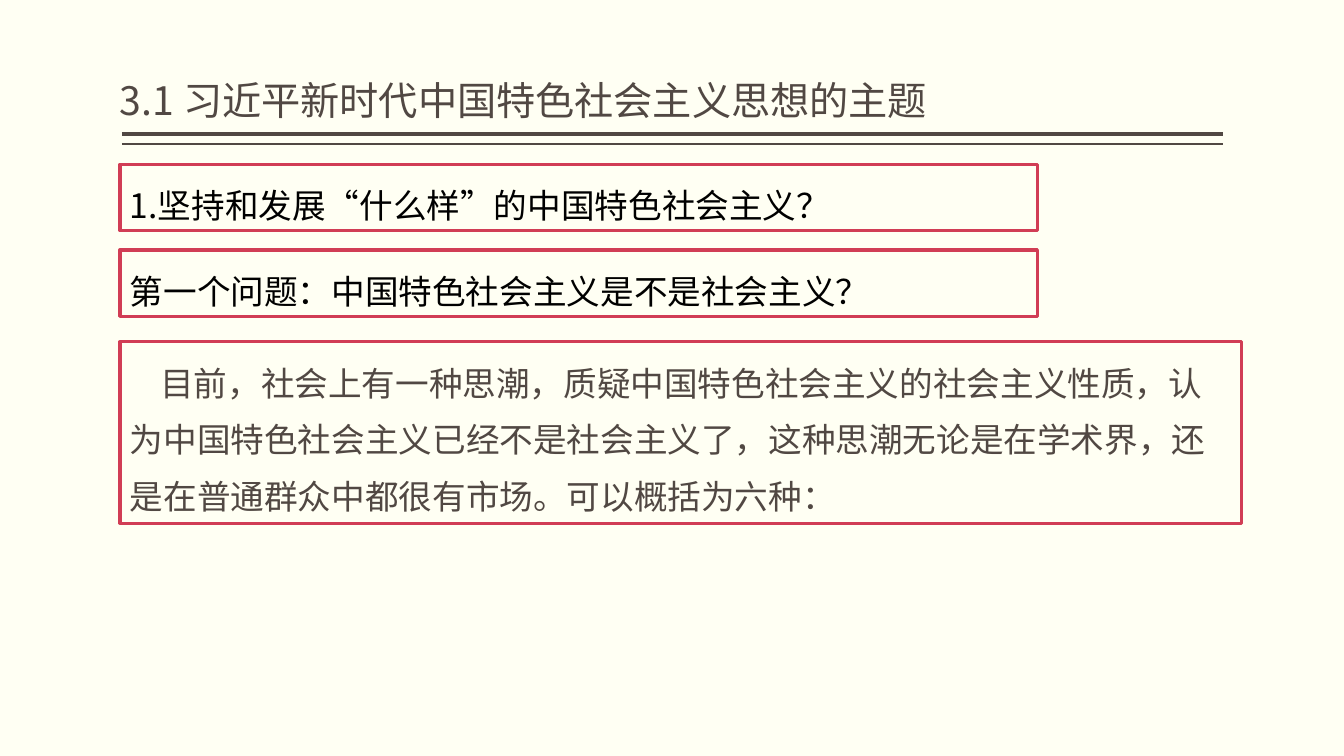
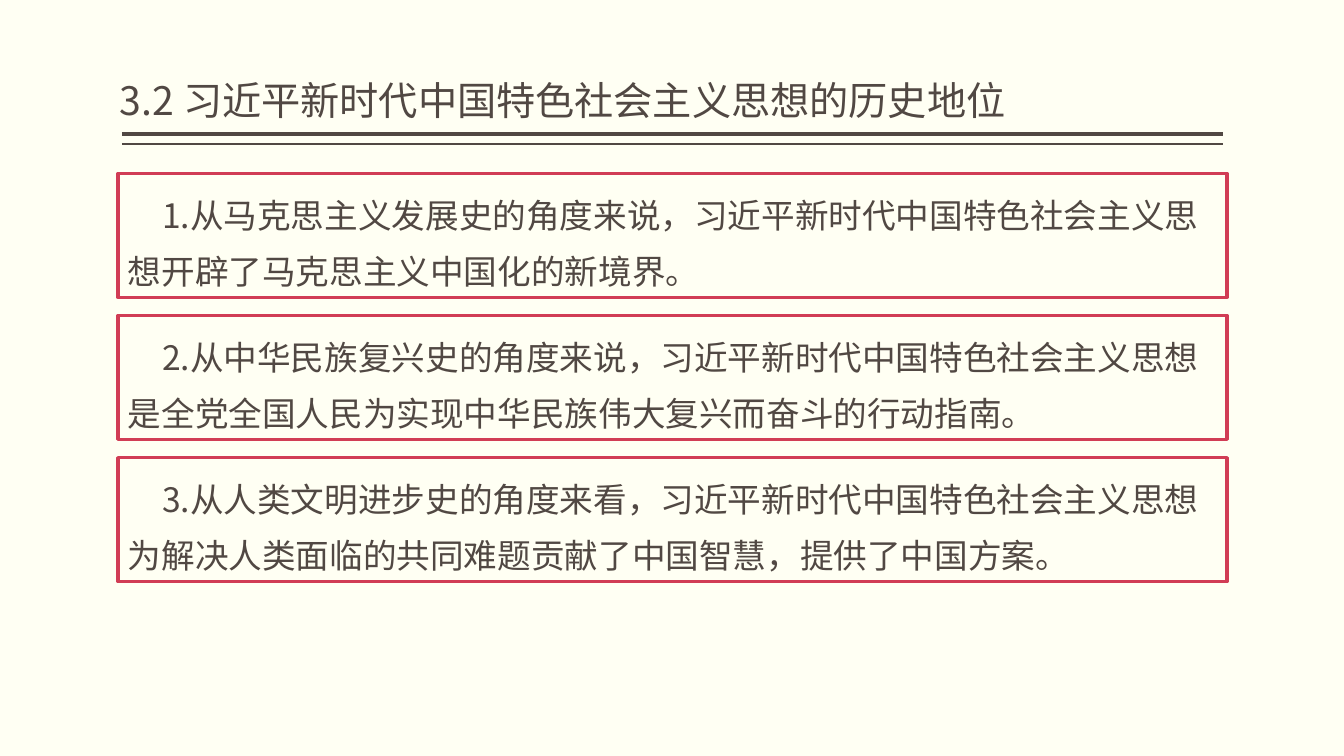
from lxml import etree
from pptx import Presentation
from pptx.dml.color import RGBColor
from pptx.enum.shapes import MSO_CONNECTOR, MSO_SHAPE
from pptx.enum.text import MSO_ANCHOR, MSO_AUTO_SIZE, PP_ALIGN
from pptx.oxml.ns import qn
from pptx.util import Inches, Pt

CREAM = RGBColor(0xFF, 0xFF, 0xF3)
BROWN = RGBColor(0x51, 0x48, 0x43)
RED = RGBColor(0xD1, 0x3D, 0x55)
BLACK = RGBColor(0, 0, 0)
FONT = "Noto Sans CJK SC"


def style_paragraph(p, size, color, spacing):
    p.alignment = PP_ALIGN.LEFT
    p.line_spacing = spacing
    p.font.size = Pt(size)
    p.font.color.rgb = color
    p.font.name = FONT
    # East Asian text takes its font from a:ea
    def_rpr = p._p.pPr.find(qn("a:defRPr"))
    etree.SubElement(def_rpr, qn("a:ea"), typeface=FONT)


def add_rule(s, y, weight):
    line = s.shapes.add_connector(MSO_CONNECTOR.STRAIGHT, Inches(1.21), Inches(y),
                                  Inches(12.13), Inches(y))
    line.line.color.rgb = BROWN
    line.line.width = Pt(weight)
    etree.SubElement(line._element.spPr, qn("a:effectLst"))


def add_titled_slide(prs, title):
    """Add a slide with its title above a thick and a thin rule."""
    s = prs.slides.add_slide(prs.slide_layouts[5])
    add_rule(s, 1.33, 3)
    add_rule(s, 1.43, 1)
    sp = s.shapes.title
    sp.left, sp.top, sp.width, sp.height = map(Inches, (1.19, 0.08, 10.92, 1.2))
    tf = sp.text_frame
    tf.text = title
    tf.word_wrap = True
    tf.auto_size = MSO_AUTO_SIZE.NONE
    tf.vertical_anchor = MSO_ANCHOR.BOTTOM
    tf.margin_left = tf.margin_right = 0
    style_paragraph(tf.paragraphs[0], 28, BROWN, 0.9)
    return s


def add_framed_text(s, text, left, top, width, height, color=BROWN, indent=0):
    """Add a red frame around one paragraph with a first-line indent."""
    sp = s.shapes.add_shape(MSO_SHAPE.RECTANGLE, Inches(left), Inches(top),
                            Inches(width), Inches(height))
    sp.shadow.inherit = False
    sp.fill.background()
    sp.line.color.rgb = RED
    sp.line.width = Pt(2.25)
    tf = sp.text_frame
    tf.text = text
    tf.word_wrap = True
    tf.auto_size = MSO_AUTO_SIZE.SHAPE_TO_FIT_TEXT
    tf.vertical_anchor = MSO_ANCHOR.TOP
    p = tf.paragraphs[0]
    style_paragraph(p, 24, color, 1.4)
    p._p.pPr.set("indent", str(Inches(indent)))


def add_theme_slide(prs):
    s = add_titled_slide(prs, "3.1 习近平新时代中国特色社会主义思想的主题")
    questions = ["1.坚持和发展“什么样”的中国特色社会主义？",
                 "第一个问题：中国特色社会主义是不是社会主义？"]
    for i, question in enumerate(questions):
        add_framed_text(s, question, 1.19, 1.63 + 0.85 * i, 9.1, 0.66, BLACK)
    add_framed_text(s, "目前，社会上有一种思潮，质疑中国特色社会主义的社会主义性质，"
                    "认为中国特色社会主义已经不是社会主义了，这种思潮无论是在学术界，"
                    "还是在普通群众中都很有市场。可以概括为六种：",
                    1.19, 3.39, 11.12, 1.8, indent=0.3)


def add_history_slide(prs):
    s = add_titled_slide(prs, "3.2 习近平新时代中国特色社会主义思想的历史地位")
    points = ["1.从马克思主义发展史的角度来说，习近平新时代中国特色社会主义思想"
              "开辟了马克思主义中国化的新境界。",
              "2.从中华民族复兴史的角度来说，习近平新时代中国特色社会主义思想"
              "是全党全国人民为实现中华民族伟大复兴而奋斗的行动指南。",
              "3.从人类文明进步史的角度来看，习近平新时代中国特色社会主义思想"
              "为解决人类面临的共同难题贡献了中国智慧，提供了中国方案。"]
    for i, point in enumerate(points):
        add_framed_text(s, point, 1.17, 1.72 + 1.41 * i, 11, 1.23, indent=0.34)


def main():
    prs = Presentation()
    prs.slide_width, prs.slide_height = Inches(13.33), Inches(7.5)
    fill = prs.slide_master.background.fill
    fill.solid()
    fill.fore_color.rgb = CREAM
    add_theme_slide(prs)
    add_history_slide(prs)
    prs.save("out.pptx")


if __name__ == "__main__":
    main()
